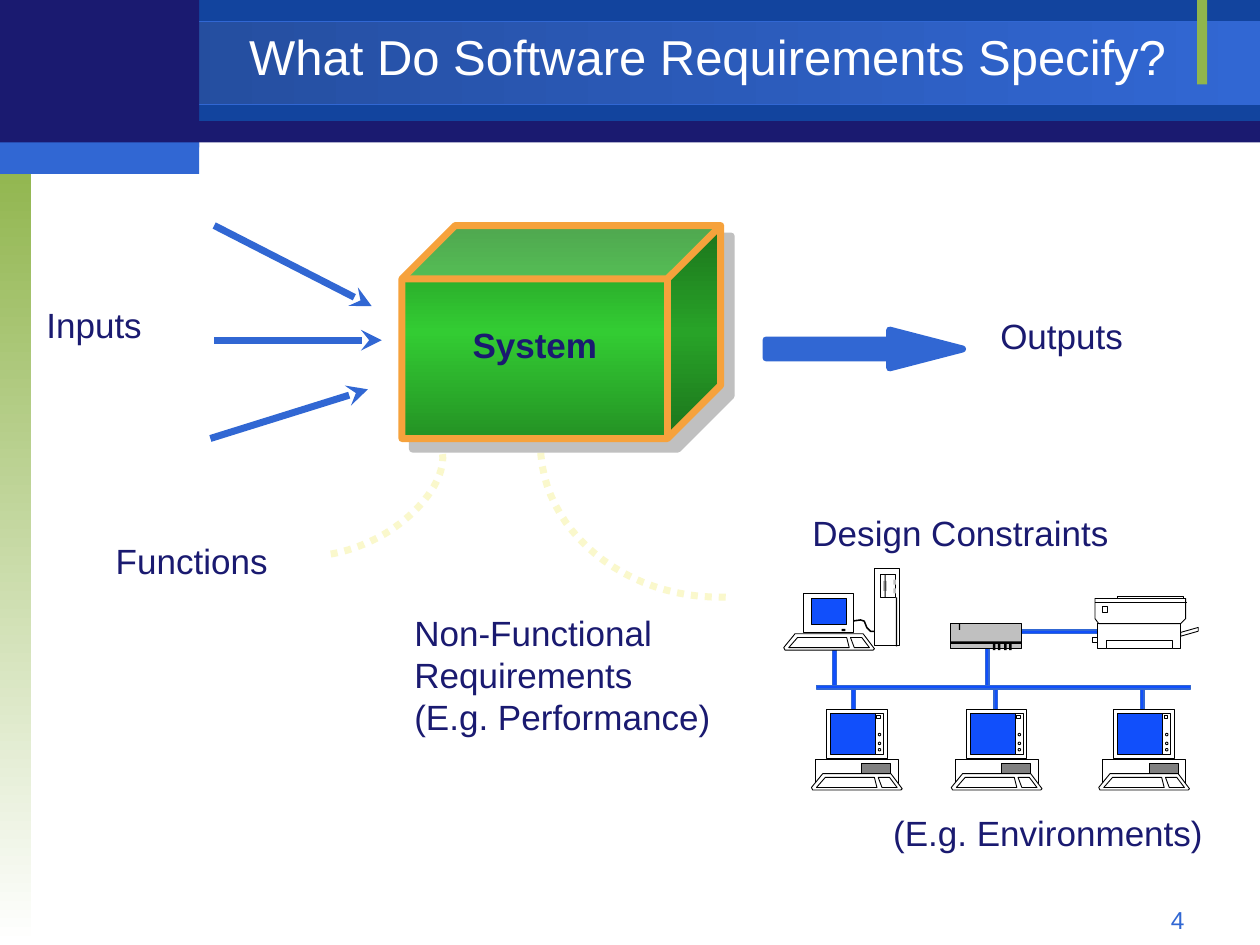
from lxml import etree
from pptx import Presentation
from pptx.dml.color import RGBColor
from pptx.enum.dml import MSO_LINE
from pptx.enum.shapes import MSO_CONNECTOR, MSO_SHAPE
from pptx.enum.text import MSO_ANCHOR, PP_ALIGN
from pptx.oxml import parse_xml
from pptx.oxml.ns import nsdecls, qn
from pptx.util import Inches, Pt

NAVY = RGBColor(0x1A, 0x1A, 0x70)
ROYAL = RGBColor(0x12, 0x44, 0x9E)
STEEL = RGBColor(0x23, 0x4A, 0x97)
BLUE = RGBColor(0x31, 0x67, 0xD3)
SCREEN = RGBColor(0x11, 0x4F, 0xFB)
LIME = RGBColor(0x90, 0xB5, 0x4D)
GREEN = RGBColor(0x24, 0x92, 0x24)
BRIGHT = RGBColor(0x33, 0xCC, 0x33)
ORANGE = RGBColor(0xF6, 0xA2, 0x3C)
CREAM = RGBColor(0xFA, 0xF8, 0xCC)
SILVER = RGBColor(0xC0, 0xC0, 0xC0)
GRAY = RGBColor(0x80, 0x80, 0x80)
BLACK = RGBColor(0, 0, 0)
WHITE = RGBColor(0xFF, 0xFF, 0xFF)


def style(shape, fill=None, line=None, width=0.5):
    shape.shadow.inherit = False
    if fill is None:
        shape.fill.background()
    else:
        shape.fill.solid()
        shape.fill.fore_color.rgb = fill
    if line is None:
        shape.line.fill.background()
    else:
        shape.line.color.rgb = line
        shape.line.width = Pt(width)
    return shape


def box(shapes, at, fill, line=None, width=0.5, kind=MSO_SHAPE.RECTANGLE):
    return style(shapes.add_shape(kind, *map(Inches, at)), fill, line, width)


def outline(shapes, points, fill=None, line=BLACK, width=0.5, dx=0):
    pts = [(Inches(x + dx), Inches(y)) for x, y in points]
    builder = shapes.build_freeform(*pts[0])
    builder.add_line_segments(pts[1:], close=fill is not None)
    return style(builder.convert_to_shape(), fill, line, width)


def gradient(shape, colors, angle):
    stops = "".join(
        f'<a:gs pos="{i * 100000 // (len(colors) - 1)}"><a:srgbClr val="{c}"/></a:gs>'
        for i, c in enumerate(colors))
    spPr = shape._element.spPr
    spPr.replace(spPr.find(qn("a:solidFill")), parse_xml(
        f'<a:gradFill {nsdecls("a")} rotWithShape="1"><a:gsLst>{stops}</a:gsLst>'
        f'<a:lin ang="{angle * 60000}" scaled="0"/></a:gradFill>'))


def drop_shadow(shape):
    effects = shape._element.spPr.find(qn("a:effectLst"))
    effects.append(parse_xml(
        f'<a:outerShdw {nsdecls("a")} dist="{Pt(8.5)}" dir="2700000" algn="ctr" '
        f'rotWithShape="0"><a:srgbClr val="{SILVER}"/></a:outerShdw>'))


def line(shapes, start, end, color, width, arrow=False):
    c = shapes.add_connector(MSO_CONNECTOR.STRAIGHT, *map(Inches, start + end))
    c.line.color.rgb = color
    c.line.width = Pt(width)
    if arrow:
        etree.SubElement(c.line._get_or_add_ln(), qn("a:tailEnd"), type="stealth")
    etree.SubElement(c._element.spPr, qn("a:effectLst"))


def format_text(tf, size, color, align, bold=False):
    for p in tf.paragraphs:
        p.alignment = align
        for r in p.runs:
            r.font.name = "Arial"
            r.font.size = Pt(size)
            r.font.color.rgb = color
            r.font.bold = bold


def label(shapes, at, text, size=20, color=NAVY, align=PP_ALIGN.LEFT, bold=False, wrap=False):
    tf = shapes.add_textbox(*map(Inches, at)).text_frame
    tf.word_wrap = wrap
    tf.text = text
    format_text(tf, size, color, align, bold)
    return tf


def bezier(p0, p1, p2, p3, steps=24):
    for i in range(steps + 1):
        t = i / steps
        weights = ((1 - t) ** 3, 3 * t * (1 - t) ** 2, 3 * t * t * (1 - t), t ** 3)
        yield tuple(sum(w * p[k] for w, p in zip(weights, (p0, p1, p2, p3))) for k in (0, 1))


def dotted_curve(shapes, *segments):
    points = [pt for seg in segments for pt in bezier(*seg)]
    outline(shapes, points, line=CREAM, width=4).line.dash_style = MSO_LINE.ROUND_DOT


def keyboard(shapes, x, y):
    outline(shapes, [(0.09, y), (0.63, y), (0.72, y + 0.12), (0.71, y + 0.13),
                     (0.01, y + 0.13), (0, y + 0.11)], WHITE, dx=x)
    for left, right, far, near in ((0.11, 0.5, 0.52, 0.04), (0.53, 0.62, 0.68, 0.56)):
        outline(shapes, [(left, y + 0.03), (right, y + 0.03),
                         (far, y + 0.11), (near, y + 0.11)], WHITE, dx=x)


def workstation(s, x):
    g = s.shapes.add_group_shape().shapes
    box(g, (x + 0.03, 6.03, 0.66, 0.2), WHITE, BLACK)
    box(g, (x + 0.4, 6.06, 0.23, 0.09), GRAY, BLACK)
    keyboard(g, x, 6.14)
    box(g, (x + 0.12, 5.63, 0.48, 0.39), WHITE, BLACK)
    box(g, (x + 0.15, 5.66, 0.41, 0.33), SCREEN, BLACK)
    box(g, (x + 0.51, 5.66, 0.06, 0.33), WHITE, BLACK)
    box(g, (x + 0.52, 5.68, 0.03, 0.02), WHITE, BLACK)
    for y in (5.82, 5.89, 5.94):
        box(g, (x + 0.53, y, 0.02, 0.02), WHITE, BLACK, kind=MSO_SHAPE.OVAL)


def cables(s):
    g = s.shapes.add_group_shape().shapes
    for x, y in ((9.05, 5.45), (7.89, 5.45), (6.76, 5.45), (7.82, 5.13), (6.61, 5.13)):
        box(g, (x, y, 0.03, 0.32), SCREEN, BLUE, 0.75)
    box(g, (7.95, 5, 0.81, 0.03), SCREEN, BLUE, 0.75)
    box(g, (6.48, 5.44, 2.97, 0.03), SCREEN, BLUE, 0.75)


def hub(s):
    g = s.shapes.add_group_shape().shapes
    box(g, (7.54, 4.95, 0.57, 0.2), SILVER, BLACK)
    box(g, (7.54, 5.09, 0.57, 0.02), BLACK)
    for x in (7.88, 7.92, 7.97, 8.01):
        box(g, (x, 5.11, 0.02, 0.05), BLACK)
    box(g, (7.61, 4.95, 0.01, 0.05), BLACK)


def printer(s):
    g = s.shapes.add_group_shape().shapes
    box(g, (8.71, 4.95, 0.66, 0.2), WHITE, BLACK)
    box(g, (8.78, 5.08, 0.53, 0.07), WHITE, BLACK)
    outline(g, [(8.69, 4.91), (8.72, 4.95), (9.37, 4.95), (9.41, 4.91),
                (9.41, 4.75), (8.69, 4.75)], WHITE)
    box(g, (8.67, 5.06, 0.04, 0.04), WHITE, BLACK)
    line(g, (8.69, 4.78), (9.42, 4.78), BLACK, 0.5)
    box(g, (8.87, 4.73, 0.52, 0.02), WHITE, BLACK)
    outline(g, [(9.37, 5.02), (9.51, 4.98), (9.51, 5.01), (9.37, 5.05)], WHITE)
    box(g, (8.75, 4.81, 0.04, 0.05), WHITE, BLACK)


def server(s):
    g = s.shapes.add_group_shape().shapes
    outline(g, [(6.76, 4.93), (6.83, 4.92), (6.86, 4.93), (6.88, 4.98),
                (6.91, 5.01), (6.96, 5.01)], width=0.88)
    keyboard(g, 6.22, 5.03)
    box(g, (6.38, 4.71, 0.39, 0.31), WHITE, BLACK)
    box(g, (6.44, 4.75, 0.28, 0.21), SCREEN, BLACK)
    box(g, (6.68, 4.99, 0.03, 0.02), BLACK)
    box(g, (6.94, 4.51, 0.2, 0.61), WHITE, BLACK)
    box(g, (6.99, 4.56, 0.12, 0.18), WHITE, BLACK)
    box(g, (7.11, 4.74, 0.01, 0.39), BLACK)
    box(g, (7.01, 4.61, 0.03, 0.08), SILVER)
    box(g, (7.02, 4.56, 0.01, 0.18), BLACK)
    for y in (4.6, 4.67):
        box(g, (7.09, y, 0.02, 0.04), SILVER)


def header(s):
    box(s.shapes, (0, 0.01, 10, 1.12), NAVY)
    box(s.shapes, (1.58, 0, 8.42, 0.96), ROYAL)
    gradient(box(s.shapes, (0, 0.17, 10, 0.66), STEEL, BLUE, 0.75), (STEEL, BLUE), 0)
    gradient(box(s.shapes, (0, 1.25, 0.25, 6.25), LIME), (LIME, WHITE), 90)
    box(s.shapes, (9.5, 0, 0.08, 0.67), LIME)
    box(s.shapes, (0, 0, 1.58, 1.17), NAVY)
    box(s.shapes, (0, 1.13, 1.58, 0.25), BLUE)
    title = s.shapes.title
    s.shapes._spTree.append(title._element)
    title.left, title.top, title.width, title.height = map(Inches, (1.3, 0.15, 8.63, 0.58))
    tf = title.text_frame
    tf.text = "What Do Software Requirements Specify?"
    tf.vertical_anchor = MSO_ANCHOR.MIDDLE
    tf.paragraphs[0].line_spacing = Pt(34)
    format_text(tf, 28, WHITE, PP_ALIGN.CENTER)


def system(s):
    g = s.shapes.add_group_shape().shapes
    cube = box(g, (3.19, 1.79, 2.53, 1.69), GREEN, ORANGE, 4, MSO_SHAPE.CUBE)
    gradient(cube, (GREEN, BRIGHT, GREEN), 90)
    drop_shadow(cube)
    label(g, (3.29, 2.52, 1.91, 0.44), "System", align=PP_ALIGN.CENTER, bold=True, wrap=True)


def main():
    prs = Presentation()
    prs.slide_width, prs.slide_height = Inches(10), Inches(7.5)
    s = prs.slides.add_slide(prs.slide_layouts[5])
    header(s)
    for start, end in (((1.67, 3.48), (2.92, 3.09)), ((1.7, 2.7), (3.03, 2.7)),
                       ((1.7, 1.79), (2.95, 2.43))):
        line(s.shapes, start, end, BLUE, 4, arrow=True)
    arrow = box(s.shapes, (6.08, 2.62, 1.56, 0.3), BLUE, BLUE, 4, MSO_SHAPE.RIGHT_ARROW)
    arrow.adjustments[0], arrow.adjustments[1] = 0.47, 1.93
    dotted_curve(s.shapes, ((5.76, 4.74), (4.95, 4.76), (4.29, 4.2), (4.29, 3.53)))
    dotted_curve(s.shapes, ((3.48, 3.5), (3.6, 3.7), (3.4, 4.03), (3.05, 4.24)),
                 ((3.05, 4.24), (2.91, 4.32), (2.75, 4.38), (2.61, 4.4)))
    for at, text in (
            ((0.27, 2.36, 0.97, 0.44), "Inputs"),
            ((7.84, 2.45, 1.18, 0.44), "Outputs"),
            ((0.82, 4.23, 1.42, 0.44), "Functions"),
            ((3.19, 4.8, 2.57, 1.11), "Non-Functional \vRequirements\n(E.g. Performance)"),
            ((6.35, 4.01, 2.57, 0.44), "Design Constraints"),
            ((6.99, 6.39, 2.67, 0.44), "(E.g. Environments)")):
        label(s.shapes, at, text)
    cables(s)
    for x in (6.44, 7.55, 8.72):
        workstation(s, x)
    hub(s)
    printer(s)
    server(s)
    system(s)
    label(s.shapes, (7.17, 7.13, 2.33, 0.27), "4", 14, BLUE, PP_ALIGN.RIGHT, wrap=True)
    prs.save("out.pptx")


if __name__ == "__main__":
    main()
